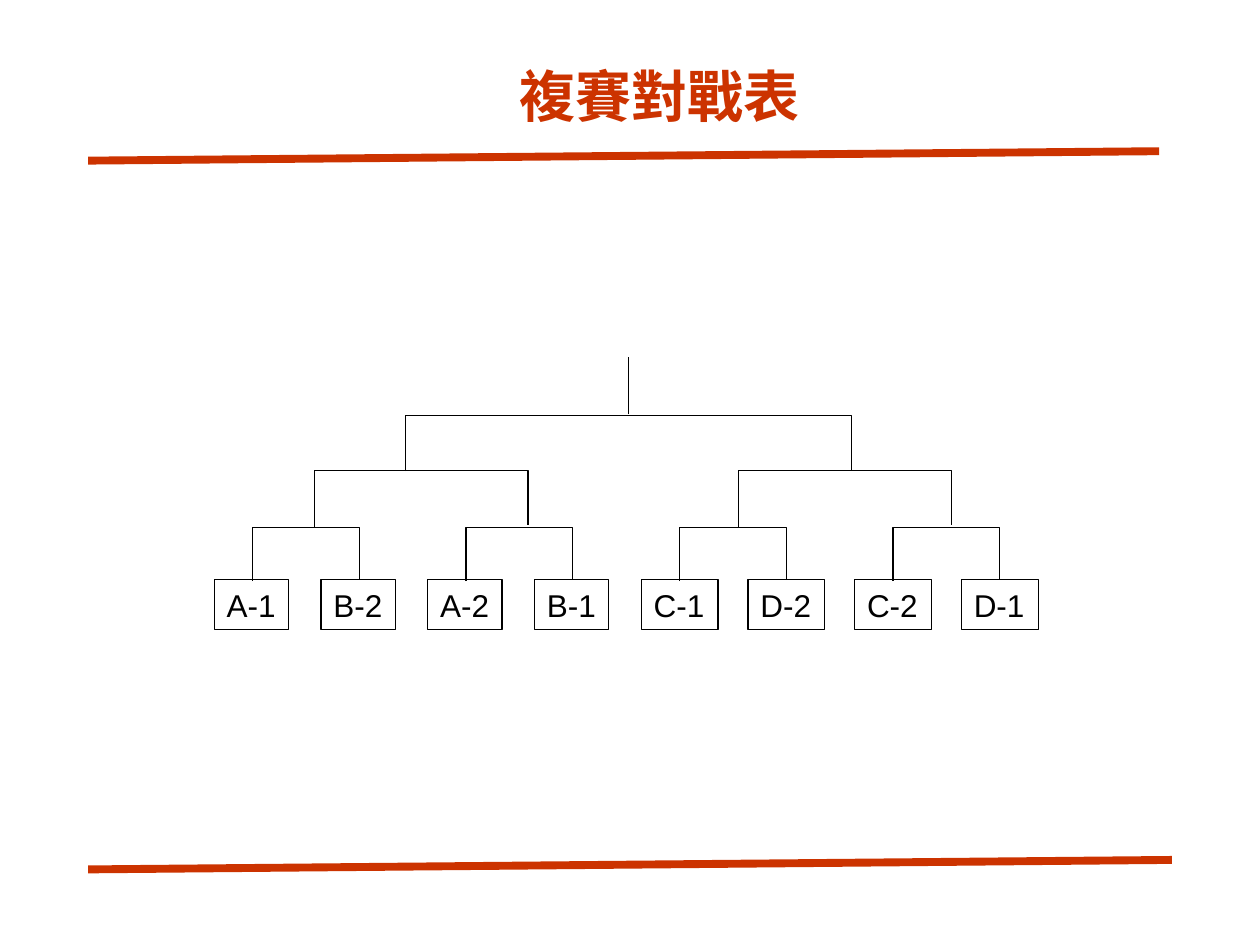
from dataclasses import dataclass

import pptx
import pptx.dml.color
import pptx.enum.shapes
import pptx.enum.text
import pptx.util
from lxml import etree
from pptx.oxml.ns import qn

Inches = pptx.util.Inches
Connector = pptx.enum.shapes.MSO_CONNECTOR
Align = pptx.enum.text.PP_ALIGN


@dataclass(frozen=True)
class Theme:
    font: str = "Arial"
    accent: str = "CC3300"
    ink: str = "000000"
    title_size: int = 32
    team_size: int = 18
    rule_width: float = 4.5
    line_width: float = 0.75


THEME = Theme()
WIDTH, HEIGHT = 10, 7.5
TEAMS = ["A-1", "B-2", "A-2", "B-1", "C-1", "D-2", "C-2", "D-1"]
GRID_LEFT, GRID_RIGHT = 1.7, 7.63
GRID_TOP, ROW = 2.83, 0.45
COLUMN = (GRID_RIGHT - GRID_LEFT) / (len(TEAMS) - 1)


def column_x(column):
    return GRID_LEFT + column * COLUMN


def row_y(row):
    return GRID_TOP + row * ROW


def rgb(color):
    return pptx.dml.color.RGBColor.from_string(color)


def write_text(tf, text, size, color, bold=False, align=Align.LEFT):
    p = tf.paragraphs[0]
    p.alignment = align
    r = p.add_run()
    r.text = text
    r.font.name = THEME.font
    r.font.size = pptx.util.Pt(size)
    r.font.bold = bold
    r.font.color.rgb = rgb(color)


def add_line(s, start, end, color=THEME.ink, width=THEME.line_width, kind=Connector.STRAIGHT):
    line = s.shapes.add_connector(kind, *map(Inches, (*start, *end)))
    line.line.color.rgb = rgb(color)
    line.line.width = pptx.util.Pt(width)
    etree.SubElement(line._element.spPr, qn("a:effectLst"))
    return line


def add_rule(s, left, right, start_y, end_y):
    add_line(s, (left * WIDTH, start_y * HEIGHT), (right * WIDTH, end_y * HEIGHT),
             THEME.accent, THEME.rule_width)


def add_bracket(s, column, span, top, foot, drop):
    width = span * COLUMN
    x = column_x(column) + width / 2
    y = row_y(foot) - drop / 2
    bracket = add_line(s, (x + drop / 2, y + width / 2), (x - drop / 2, y - width / 2),
                       kind=Connector.ELBOW)
    spPr = bracket._element.spPr
    spPr.find(qn("a:xfrm")).set("rot", str(90 * 60000))
    geometry = spPr.find(qn("a:prstGeom"))
    guides = geometry.find(qn("a:avLst"))
    if guides is None:
        guides = etree.SubElement(geometry, qn("a:avLst"))
    bend = round((foot - top) * ROW / drop * 100000)
    etree.SubElement(guides, qn("a:gd"), name="adj1", fmla=f"val {bend}")


def add_team(s, column, name):
    width = 0.59 if name[0] in "AB" else 0.61
    sp = s.shapes.add_shape(pptx.enum.shapes.MSO_SHAPE.RECTANGLE, Inches(column_x(column)),
                            Inches(row_y(3.93)), Inches(width), Inches(0.4))
    sp.shadow.inherit = False
    sp.fill.background()
    sp.line.color.rgb = rgb(THEME.ink)
    sp.line.width = pptx.util.Pt(THEME.line_width)
    tf = sp.text_frame
    tf.word_wrap = False
    tf.auto_size = pptx.enum.text.MSO_AUTO_SIZE.SHAPE_TO_FIT_TEXT
    tf.vertical_anchor = pptx.enum.text.MSO_ANCHOR.TOP
    write_text(tf, name, THEME.team_size, THEME.ink)


def format_title(s, text):
    title = s.shapes.title
    title.left, title.top, title.width, title.height = map(Inches, (0.82, 0.4, 8.83, 0.67))
    tf = title.text_frame
    tf.vertical_anchor = pptx.enum.text.MSO_ANCHOR.BOTTOM
    write_text(tf, text, THEME.title_size, THEME.accent, bold=True, align=Align.CENTER)


def main():
    prs = pptx.Presentation()
    prs.slide_width, prs.slide_height = Inches(WIDTH), Inches(HEIGHT)
    s = prs.slides.add_slide(prs.slide_layouts[5])
    add_rule(s, 0.07, 0.92, 0.17, 0.16)
    add_rule(s, 0.07, 0.93, 0.92, 0.91)
    format_title(s, "複賽對戰表")
    for column, name in enumerate(TEAMS):
        add_team(s, column, name)
    for column in range(0, len(TEAMS), 2):
        add_bracket(s, column + 0.36, 1, top=3.02, foot=3.96, drop=0.02)
    for column in (0.94, 4.91):
        add_bracket(s, column, 2, top=2, foot=3, drop=0.01)
    add_bracket(s, 1.79, 4.18, top=1.02, foot=2.02, drop=0.01)
    champion_x = column_x(3.88)
    add_line(s, (champion_x, row_y(1.02)), (champion_x, row_y(0)))
    prs.save("out.pptx")


if __name__ == "__main__":
    main()
